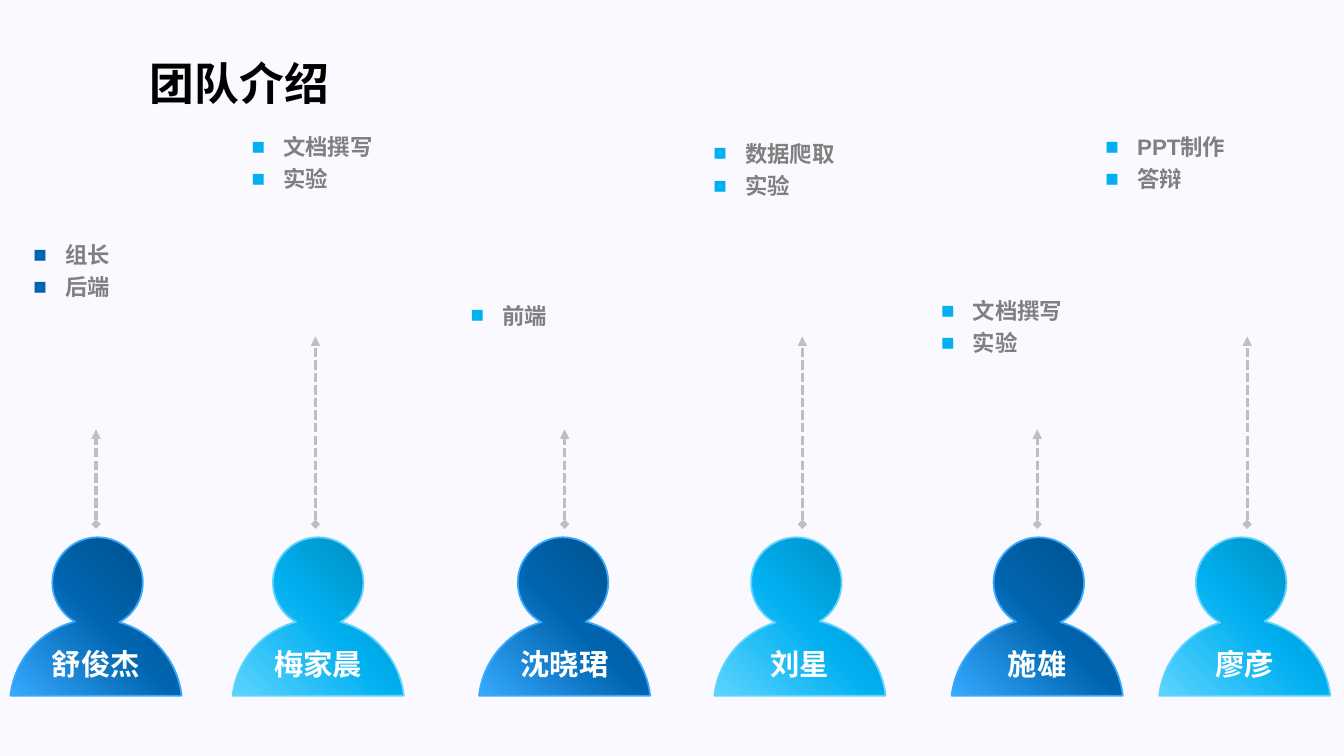
"""Build the team introduction slide."""
from copy import deepcopy
from dataclasses import dataclass
from math import acos, asin, atan2, cos, hypot, pi, sin, tan

from lxml.etree import Element, SubElement
from pptx import Presentation
from pptx.dml.color import RGBColor
from pptx.enum.dml import MSO_LINE
from pptx.enum.shapes import MSO_CONNECTOR
from pptx.enum.text import MSO_AUTO_SIZE, PP_ALIGN
from pptx.oxml.ns import qn
from pptx.shapes.autoshape import Shape
from pptx.slide import Slide
from pptx.text.text import TextFrame, _Paragraph
from pptx.util import Cm, Pt

BACKGROUND = RGBColor(0xFA, 0xF9, 0xFF)
BLACK = RGBColor(0, 0, 0)
WHITE = RGBColor(0xFF, 0xFF, 0xFF)
DUTY_GREY = RGBColor(0x80, 0x80, 0x80)
ARROW_GREY = RGBColor(0xBF, 0xBF, 0xBF)
DARK_BLUE = RGBColor(0x00, 0x65, 0xB0)
BRIGHT_BLUE = RGBColor(0x00, 0xB0, 0xF0)
DARK_SHADES = (RGBColor(0x37, 0xAA, 0xFF), DARK_BLUE, RGBColor(0x00, 0x4C, 0x84))
BRIGHT_SHADES = (RGBColor(0x5D, 0xD4, 0xFF), BRIGHT_BLUE, RGBColor(0x00, 0x84, 0xB4))

LATIN_FONT = "Arial"
CJK_FONT = "Noto Sans CJK SC"

HEAD_Y, HEAD_RADIUS = 14.68, 1.14
BODY_Y, BODY_RADIUS = 17.77, 2.17
BASE_Y = 17.53
BODY_WIDTH = 4.32
ARROW_BOTTOM, SHORT_TOP, TALL_TOP = 13.21, 10.82, 8.48

Point = tuple[int, int]


@dataclass(frozen=True)
class Member:
    """A team member; lengths in centimetres."""
    name: str
    left: float
    head_x: float
    shades: tuple[RGBColor, ...]
    arrow_x: float
    arrow_top: float
    duty_left: float
    duty_top: float
    duties: tuple[str, ...]
    bullet: RGBColor = BRIGHT_BLUE


MEMBERS = (
    Member("舒俊杰", 0.26, 2.46, DARK_SHADES, 2.42, SHORT_TOP,
           0.36, 5.94, ("组长", "后端"), DARK_BLUE),
    Member("梅家晨", 5.86, 8.02, BRIGHT_SHADES, 7.95, TALL_TOP,
           5.86, 3.22, ("文档撰写", "实验")),
    Member("沈晓珺", 12.07, 14.19, DARK_SHADES, 14.23, SHORT_TOP,
           11.38, 7.47, ("前端",)),
    Member("刘星", 18.0, 20.07, BRIGHT_SHADES, 20.22, TALL_TOP,
           17.5, 3.39, ("数据爬取", "实验")),
    Member("施雄", 23.98, 26.18, DARK_SHADES, 26.14, SHORT_TOP,
           23.24, 7.35, ("文档撰写", "实验")),
    Member("廖彦", 29.21, 31.28, BRIGHT_SHADES, 31.43, TALL_TOP,
           27.38, 3.22, ("PPT制作", "答辩")),
)


def arc(x: float, y: float, radius: float, start: float, end: float) -> list[Point]:
    """Return the four Bezier points of a circular arc."""
    k = 4 / 3 * tan((end - start) / 4)
    corners = ((start, 0), (start, k), (end, -k), (end, 0))
    return [(Cm(x + radius * (cos(a) - t * sin(a))),
             Cm(y + radius * (sin(a) + t * cos(a)))) for a, t in corners]


def silhouette(member: Member) -> list[list[Point]]:
    """Return the segments of the outline, clockwise from the top of the head."""
    body_x = member.left + BODY_WIDTH / 2
    dx, dy = body_x - member.head_x, BODY_Y - HEAD_Y
    gap, down = hypot(dx, dy), atan2(dy, dx)
    up = down + pi
    neck = acos((gap**2 + HEAD_RADIUS**2 - BODY_RADIUS**2) / (2 * gap * HEAD_RADIUS))
    collar = acos((gap**2 + BODY_RADIUS**2 - HEAD_RADIUS**2) / (2 * gap * BODY_RADIUS))
    base = asin((BODY_Y - BASE_Y) / BODY_RADIUS)
    head = (member.head_x, HEAD_Y, HEAD_RADIUS)
    body = (body_x, BODY_Y, BODY_RADIUS)
    right_shoulder = arc(*body, up + collar, 2 * pi - base)
    left_shoulder = arc(*body, pi + base, up - collar)
    return [arc(*head, -pi / 2, 0), arc(*head, 0, down - neck), right_shoulder,
            [right_shoulder[-1], left_shoulder[0]], left_shoulder,
            arc(*head, down + neck, pi), arc(*head, pi, 3 * pi / 2)]


def add_outline(s: Slide, segments: list[list[Point]]) -> Shape:
    """Draw a closed outline whose four-point segments are curves."""
    builder = s.shapes.build_freeform(*segments[0][0])
    builder.add_line_segments([segment[-1] for segment in segments], close=True)
    sp = builder.convert_to_shape()
    sides = list(sp._element.spPr.iter(qn("a:lnTo")))
    for side, segment in zip(sides, segments):
        if len(segment) == 4:
            curve = Element(qn("a:cubicBezTo"))
            for x, y in segment[1:]:
                SubElement(curve, qn("a:pt"), x=str(x - sp.left), y=str(y - sp.top))
            side.getparent().replace(side, curve)
    return sp


def add_run(p: _Paragraph, text: str, size: int, color: RGBColor,
            font: str = LATIN_FONT) -> None:
    """Add a bold run."""
    r = p.add_run()
    r.text = text
    r.font.size, r.font.bold, r.font.name = Pt(size), True, font
    r.font.color.rgb = color
    SubElement(r.font._element, qn("a:ea"), typeface=CJK_FONT)


def add_text_box(s: Slide, left: float, top: float, width: float, height: float,
                 wrap: bool = True) -> TextFrame:
    """Add a text box and return its text frame."""
    tf = s.shapes.add_textbox(Cm(left), Cm(top), Cm(width), Cm(height)).text_frame
    tf.word_wrap = wrap
    return tf


def add_arrow(s: Slide, member: Member) -> None:
    """Draw the dashed arrow above a member."""
    x = Cm(member.arrow_x)
    line = s.shapes.add_connector(MSO_CONNECTOR.STRAIGHT, x, Cm(ARROW_BOTTOM),
                                  x, Cm(member.arrow_top))
    line.line.color.rgb = ARROW_GREY
    line.line.width = Pt(2.25)
    line.line.dash_style = MSO_LINE.SQUARE_DOT
    ln = line.line._get_or_add_ln()
    SubElement(ln, qn("a:headEnd"), type="diamond")
    SubElement(ln, qn("a:tailEnd"), type="triangle")
    SubElement(line._element.spPr, qn("a:effectLst"))


def add_duties(s: Slide, member: Member) -> None:
    """List the duties of a member."""
    tf = add_text_box(s, member.duty_left, member.duty_top, 5.74, 1.14)
    tf.margin_left = tf.margin_right = Cm(0.48)
    tf.margin_top = tf.margin_bottom = 0
    for i, duty in enumerate(member.duties):
        p = tf.add_paragraph() if i else tf.paragraphs[0]
        p.line_spacing = 1.2
        pPr = p._p.get_or_add_pPr()
        pPr.set("marL", str(Cm(0.8)))
        pPr.set("indent", str(-Cm(0.8)))
        SubElement(SubElement(pPr, qn("a:buClr")), qn("a:srgbClr"), val=str(member.bullet))
        SubElement(pPr, qn("a:buFont"), typeface=LATIN_FONT)
        SubElement(pPr, qn("a:buChar"), char="■")
        add_run(p, duty, 16, DUTY_GREY)


def add_person(s: Slide, member: Member) -> None:
    """Draw the figure of a member with the name on it."""
    sp = add_outline(s, silhouette(member))
    sp.shadow.inherit = False
    sp.fill.gradient()
    sp.fill.gradient_angle = 45
    stop_list = sp._element.spPr.find(qn("a:gradFill")).find(qn("a:gsLst"))
    stop_list.append(deepcopy(stop_list[0]))
    for stop, position, shade in zip(sp.fill.gradient_stops, (0, 0.5, 1), member.shades):
        stop.position = position
        stop.color.rgb = shade
    sp.line.color.rgb = member.shades[0]
    sp.line.width = Pt(1.25)

    tf = add_text_box(s, member.left + 0.23, 16.15, 3.86, 1.14)
    tf.auto_size = MSO_AUTO_SIZE.SHAPE_TO_FIT_TEXT
    p = tf.paragraphs[0]
    p.alignment = PP_ALIGN.CENTER
    add_run(p, member.name, 21, WHITE)


def main() -> None:
    """Create and save the slide."""
    prs = Presentation()
    prs.slide_width, prs.slide_height = Cm(33.87), Cm(19.05)
    s = prs.slides.add_slide(prs.slide_layouts[6])
    s.background.fill.solid()
    s.background.fill.fore_color.rgb = BACKGROUND
    tf = add_text_box(s, 3.53, 1.27, 5.03, 1.63, wrap=False)
    tf.auto_size = MSO_AUTO_SIZE.SHAPE_TO_FIT_TEXT
    add_run(tf.paragraphs[0], "团队介绍", 32, BLACK, CJK_FONT)
    for member in MEMBERS:
        add_arrow(s, member)
        add_duties(s, member)
        add_person(s, member)
    prs.save("out.pptx")


if __name__ == "__main__":
    main()
